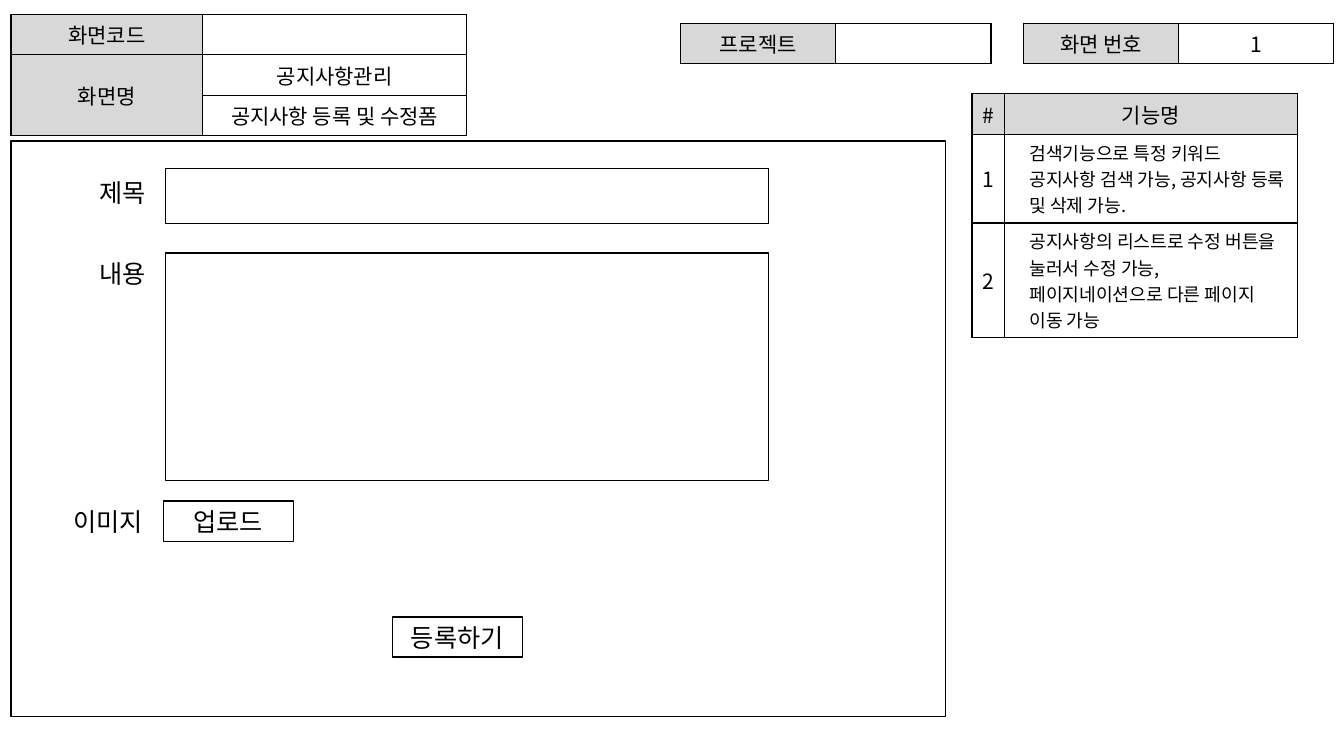
from lxml import etree
from pptx import Presentation
from pptx.dml.color import RGBColor
from pptx.enum.shapes import MSO_SHAPE
from pptx.enum.text import MSO_ANCHOR, MSO_AUTO_SIZE, PP_ALIGN
from pptx.oxml.ns import qn
from pptx.util import Inches, Pt

RECTANGLE = MSO_SHAPE.RECTANGLE
MIDDLE, TOP = MSO_ANCHOR.MIDDLE, MSO_ANCHOR.TOP
CENTER, LEFT = PP_ALIGN.CENTER, PP_ALIGN.LEFT
GROW = MSO_AUTO_SIZE.SHAPE_TO_FIT_TEXT

FONT = "Noto Sans CJK KR"
BLACK, WHITE, GRAY = "000000", "FFFFFF", "D8D8D8"


def color(hex_string):
    return RGBColor.from_string(hex_string)


def write(text_frame, text, size=18, align=LEFT, indent=0):
    paragraph = text_frame.paragraphs[0]
    paragraph.alignment = align
    if indent:
        properties = paragraph._p.get_or_add_pPr()
        properties.set("marL", str(Inches(indent)))
        properties.set("indent", "0")
    if not text:
        end = etree.SubElement(paragraph._p, qn("a:endParaRPr"))
        end.set("sz", str(size * 100))
        for script in ("a:latin", "a:ea"):
            etree.SubElement(end, qn(script)).set("typeface", FONT)
        return
    run = paragraph.add_run()
    run.text = text
    run.font.size = Pt(size)
    run.font.name = FONT
    run.font.color.rgb = color(BLACK)
    east_asian = etree.Element(qn("a:ea"), typeface=FONT)
    run._r.rPr.find(qn("a:latin")).addnext(east_asian)


class Wireframe:
    line_width = 1
    table_size = 15
    note_size = 13

    def __init__(self, slide):
        self.slide = slide

    def border(self, cell):
        properties = cell._tc.get_or_add_tcPr()
        for position, side in enumerate(("a:lnL", "a:lnR", "a:lnT", "a:lnB")):
            line = etree.Element(qn(side), w=str(Pt(self.line_width)))
            fill = etree.SubElement(line, qn("a:solidFill"))
            etree.SubElement(fill, qn("a:srgbClr"), val=BLACK)
            properties.insert(position, line)

    def table(self, left, top, widths, heights, rows, shaded, merged=None, notes=()):
        frame = self.slide.shapes.add_table(
            len(rows), len(widths), Inches(left), Inches(top),
            Inches(sum(widths)), Inches(sum(heights)))
        table = frame.table
        table.first_row = table.horz_banding = False
        for column, width in zip(table.columns, widths):
            column.width = Inches(width)
        for row, height in zip(table.rows, heights):
            row.height = Inches(height)
        if merged:
            first, last = merged
            table.cell(*first).merge(table.cell(*last))
        for row_index, row in enumerate(rows):
            for column_index, text in enumerate(row):
                place = (row_index, column_index)
                cell = table.cell(*place)
                cell.fill.solid()
                cell.fill.fore_color.rgb = color(GRAY if place in shaded else WHITE)
                self.border(cell)
                if place in notes:
                    cell.vertical_anchor = TOP
                    write(cell.text_frame, text, size=self.note_size, indent=0.15)
                else:
                    cell.vertical_anchor = MIDDLE
                    write(cell.text_frame, text, size=self.table_size, align=CENTER)

    def box(self, left, top, width, height, text=""):
        shape = self.slide.shapes.add_shape(
            RECTANGLE, Inches(left), Inches(top), Inches(width), Inches(height))
        shape.shadow.inherit = False
        shape.fill.background()
        shape.line.color.rgb = color(BLACK)
        shape.line.width = Pt(self.line_width)
        if text:
            shape.text_frame.vertical_anchor = MIDDLE
            write(shape.text_frame, text, align=CENTER)

    def label(self, left, top, width, text):
        shape = self.slide.shapes.add_textbox(
            Inches(left), Inches(top), Inches(width), Inches(0.4))
        shape.text_frame.word_wrap = True
        shape.text_frame.auto_size = GROW
        write(shape.text_frame, text)


def main():
    presentation = Presentation()
    presentation.slide_width = Inches(13.33)
    presentation.slide_height = Inches(7.5)
    slide = presentation.slides.add_slide(presentation.slide_layouts[6])
    wireframe = Wireframe(slide)

    wireframe.table(
        0.11, 0.14, [1.9, 2.62], [0.3] * 3,
        [["화면코드", ""], ["화면명", "공지사항관리"], ["", "공지사항 등록 및 수정폼"]],
        shaded={(0, 0), (1, 0), (2, 0)}, merged=((1, 0), (2, 0)))
    for left, name, value in ((10.15, "화면 번호", "1"), (6.75, "프로젝트", "")):
        wireframe.table(left, 0.23, [1.54] * 2, [0.29], [[name, value]], shaded={(0, 0)})
    wireframe.table(
        9.64, 0.93, [0.32, 2.91], [0.31, 0.36, 0.9],
        [["#", "기능명"],
         ["1", "검색기능으로 특정 키워드 공지사항 검색 가능, 공지사항 등록 및 삭제 가능."],
         ["2", "공지사항의 리스트로 수정 버튼을 눌러서 수정 가능, "
               "페이지네이션으로 다른 페이지 이동 가능"]],
        shaded={(0, 0), (0, 1)}, notes={(1, 1), (2, 1)})

    wireframe.box(0.11, 1.4, 9.27, 5.71)
    for top, height, label_top, name in ((1.67, 0.55, 1.71, "제목"), (2.51, 2.26, 2.51, "내용")):
        wireframe.box(1.64, top, 5.98, height)
        wireframe.label(0.89, label_top, 0.75, name)
    wireframe.box(1.62, 4.97, 1.29, 0.4, "업로드")
    wireframe.label(0.63, 4.97, 0.98, "이미지")
    wireframe.box(3.89, 6.12, 1.29, 0.4, "등록하기")

    presentation.save("out.pptx")


if __name__ == "__main__":
    main()
